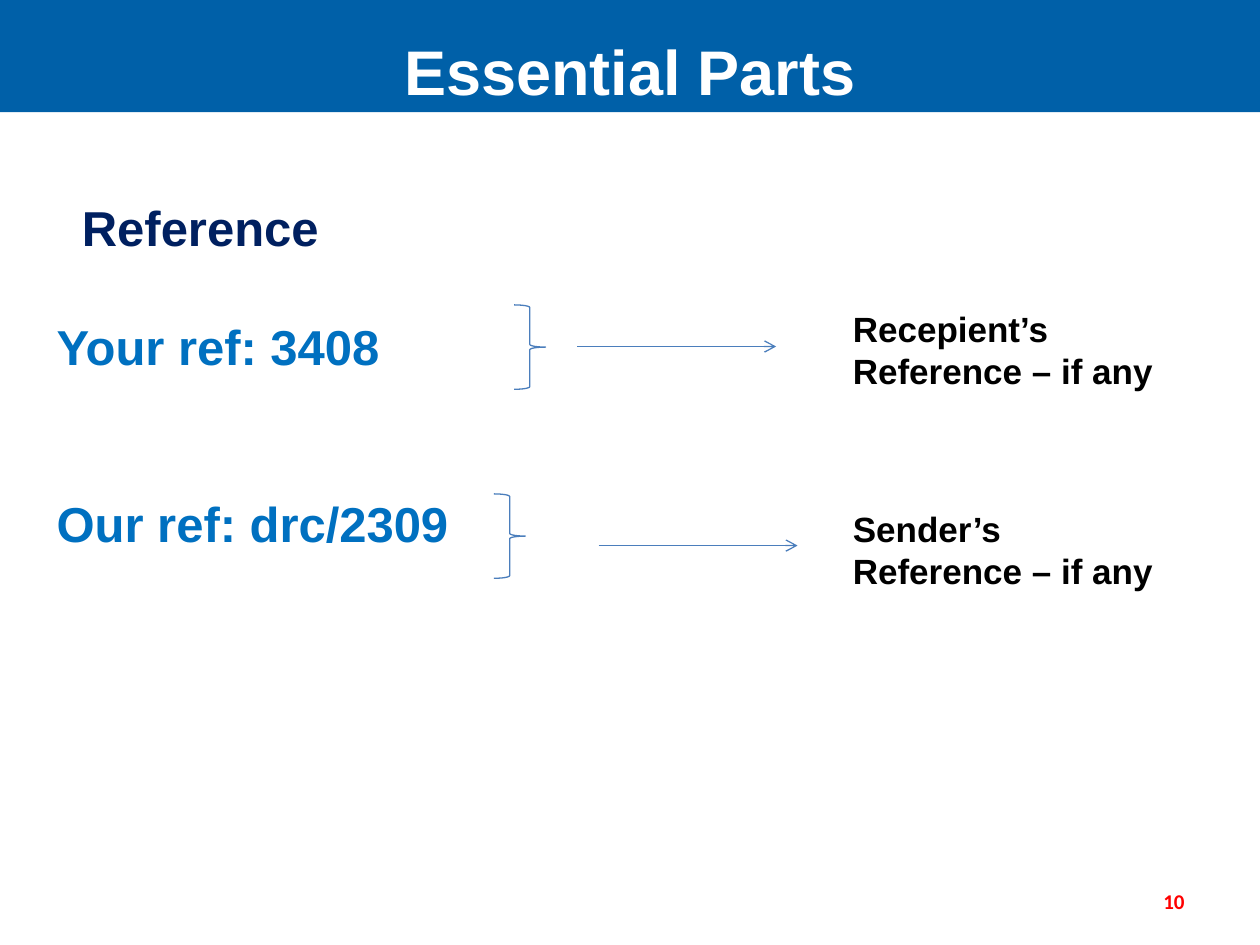
from lxml import etree
from pptx import Presentation
from pptx.dml.color import RGBColor
from pptx.enum.shapes import MSO_CONNECTOR, MSO_SHAPE
from pptx.enum.text import MSO_ANCHOR, MSO_AUTO_SIZE, PP_ALIGN
from pptx.oxml.ns import qn
from pptx.util import Inches, Pt

BRACE = MSO_SHAPE.RIGHT_BRACE
STRAIGHT = MSO_CONNECTOR.STRAIGHT
TOP, MIDDLE = MSO_ANCHOR.TOP, MSO_ANCHOR.MIDDLE
LEFT, CENTER, RIGHT = PP_ALIGN.LEFT, PP_ALIGN.CENTER, PP_ALIGN.RIGHT
NO_FIT = MSO_AUTO_SIZE.NONE
LINE_BLUE = "4B7EBC"


def rgb(value):
    return RGBColor.from_string(value)


def write(paragraph, text, size, color, font="Arial", align=LEFT, before=0):
    paragraph.alignment = align
    paragraph.space_before = Pt(before)
    run = paragraph.add_run()
    run.text = text
    run.font.name = font
    run.font.size = Pt(size)
    run.font.bold = True
    run.font.color.rgb = rgb(color)


prs = Presentation()
prs.slide_width, prs.slide_height = Inches(10), Inches(7.5)
slide = prs.slides.add_slide(prs.slide_layouts[1])
shapes = slide.shapes

title = shapes.title
title.left, title.top = Inches(0), Inches(0)
title.width, title.height = Inches(10), Inches(0.89)
title.fill.solid()
title.fill.fore_color.rgb = rgb("0060A8")
title.text_frame.auto_size = NO_FIT
title.text_frame.vertical_anchor = TOP
title.text_frame.margin_top = Inches(0.26)
title.text_frame.margin_bottom = Inches(0)
write(title.text_frame.paragraphs[0], "Essential Parts", 36, "FFFFFF", align=CENTER)

references = slide.placeholders[1]
references.left, references.top = Inches(0.35), Inches(1.52)
references.width, references.height = Inches(9.31), Inches(3.83)
frame = references.text_frame
frame.auto_size = NO_FIT
for index, (text, color, indent, before) in enumerate([
    ("Reference", "002060", 0.2, 0),
    ("Your ref: 3408", "0070C0", 0, 34),
    ("Our ref: drc/2309", "0070C0", 0, 68),
]):
    paragraph = frame.add_paragraph() if index else frame.paragraphs[0]
    write(paragraph, text, 28, color, before=before)
    properties = paragraph._p.get_or_add_pPr()
    properties.set("marL", str(Inches(indent)))
    properties.set("indent", "0")
    etree.SubElement(properties, qn("a:buNone"))

for brace_left, brace_top, arrow_left, arrow_y, note_top, note in [
    (4.08, 2.42, 4.58, 2.75, 2.39, "Recepient’s Reference – if any"),
    (3.92, 3.92, 4.75, 4.33, 3.98, "Sender’s Reference – if any"),
]:
    brace = shapes.add_shape(BRACE, Inches(brace_left), Inches(brace_top), Inches(0.25), Inches(0.67))
    brace.shadow.inherit = False
    brace.fill.background()

    arrow = shapes.add_connector(
        STRAIGHT, Inches(arrow_left), Inches(arrow_y), Inches(arrow_left + 1.58), Inches(arrow_y))
    for drawn in (brace, arrow):
        drawn.line.color.rgb = rgb(LINE_BLUE)
        drawn.line.width = Pt(0.75)
    etree.SubElement(arrow.line._get_or_add_ln(), qn("a:tailEnd"), type="arrow")
    etree.SubElement(arrow._element.spPr, qn("a:effectLst"))

    meaning = shapes.add_textbox(Inches(6.67), Inches(note_top), Inches(2.7), Inches(0.77))
    meaning.text_frame.word_wrap = True
    write(meaning.text_frame.paragraphs[0], note, 20, "000000")

page_number = shapes.add_textbox(Inches(7.17), Inches(6.95), Inches(2.33), Inches(0.4))
page_number.text_frame.word_wrap = True
page_number.text_frame.vertical_anchor = MIDDLE
write(page_number.text_frame.paragraphs[0], "10", 12, "FF0000", font="Calibri", align=RIGHT)

prs.save("out.pptx")
